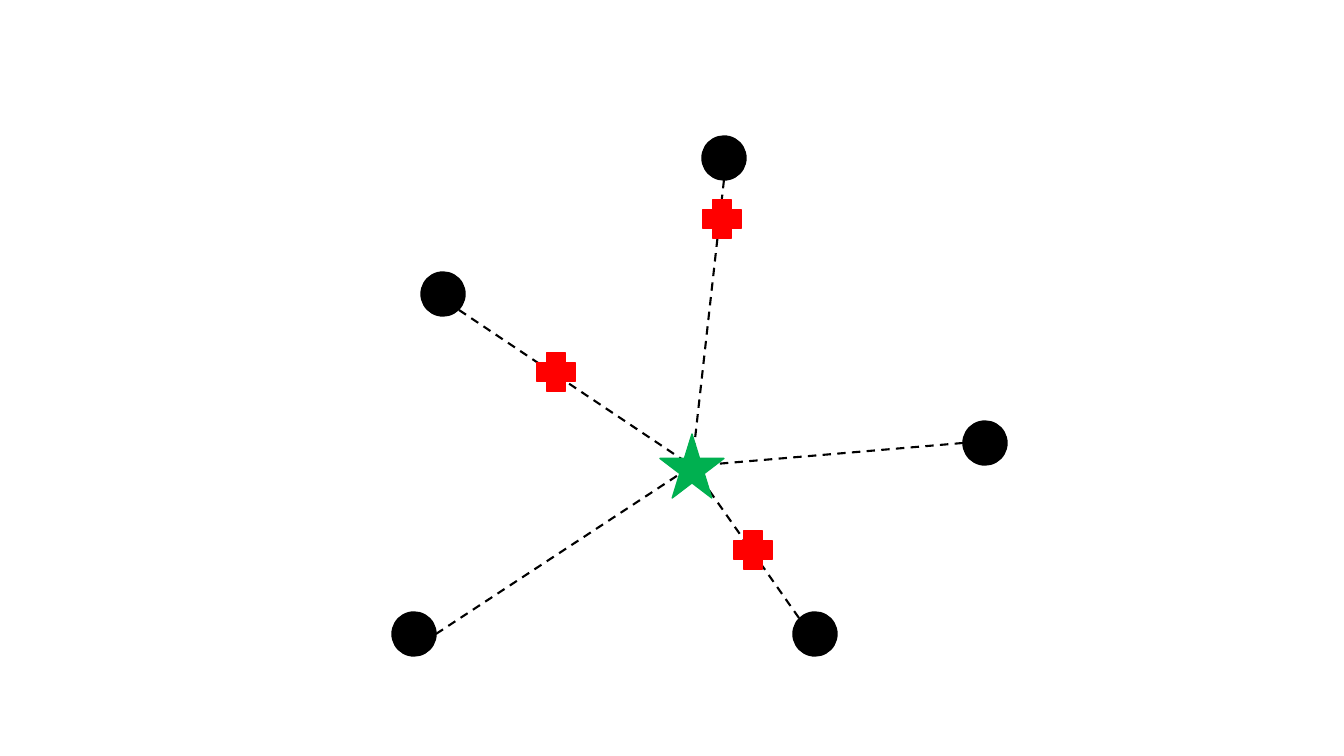
"""Draw a star linked by dashed lines to five dots, three links marked by a cross."""
from lxml.etree import SubElement
from pptx import Presentation
from pptx.dml.color import RGBColor
from pptx.enum.dml import MSO_LINE as Dash
from pptx.enum.shapes import MSO_CONNECTOR as Link, MSO_SHAPE as Shape
from pptx.oxml.ns import qn
from pptx.util import Pt

WIDE, HIGH = 1344, 756
SCALE = 12192000 / WIDE
BLACK, GREEN, RED = "000000", "00B050", "FF0000"

STAR = (692, 466)
DOTS = [
    ((443, 294), (16, 16)),
    ((414, 634), (22, 0)),
    ((724, 158), (0, 22)),
    ((985, 443), (-22, 0)),
    ((815, 634), (-16, -16)),
]
MARKS = [(556, 372), (722, 219), (753, 550)]
DOT_SIZE, STAR_SIZE, MARK_SIZE = 44, 64, 38


def emu(px):
    """Turn pixels into EMU."""
    return round(px * SCALE)


def paint(form, color):
    """Set the colour of a fill or line."""
    form.solid()
    form.fore_color.rgb = RGBColor.from_string(color)


def place(kind, center, size, color):
    """Add a plain shape around its center."""
    x, y = (emu(c - size / 2) for c in center)
    shape = group.shapes.add_shape(kind, x, y, emu(size), emu(size))
    shape.shadow.inherit = False
    paint(shape.fill, color)
    paint(shape.line.fill, color)
    shape.line.width = Pt(1)


def join(start, end):
    """Add a dashed line between two points."""
    line = group.shapes.add_connector(Link.STRAIGHT, *map(emu, start + end))
    paint(line.line.fill, BLACK)
    line.line.width = Pt(1.5)
    line.line.dash_style = Dash.DASH
    SubElement(line._element.spPr, qn("a:effectLst"))


deck = Presentation()
deck.slide_width, deck.slide_height = emu(WIDE), emu(HIGH)
slide = deck.slides.add_slide(deck.slide_layouts[6])
group = slide.shapes.add_group_shape()

for center, _ in DOTS:
    place(Shape.OVAL, center, DOT_SIZE, BLACK)
for (x, y), (dx, dy) in DOTS:
    join((x + dx, y + dy), STAR)
place(Shape.STAR_5_POINT, STAR, STAR_SIZE, GREEN)
for center in MARKS:
    place(Shape.CROSS, center, MARK_SIZE, RED)

deck.save("out.pptx")
